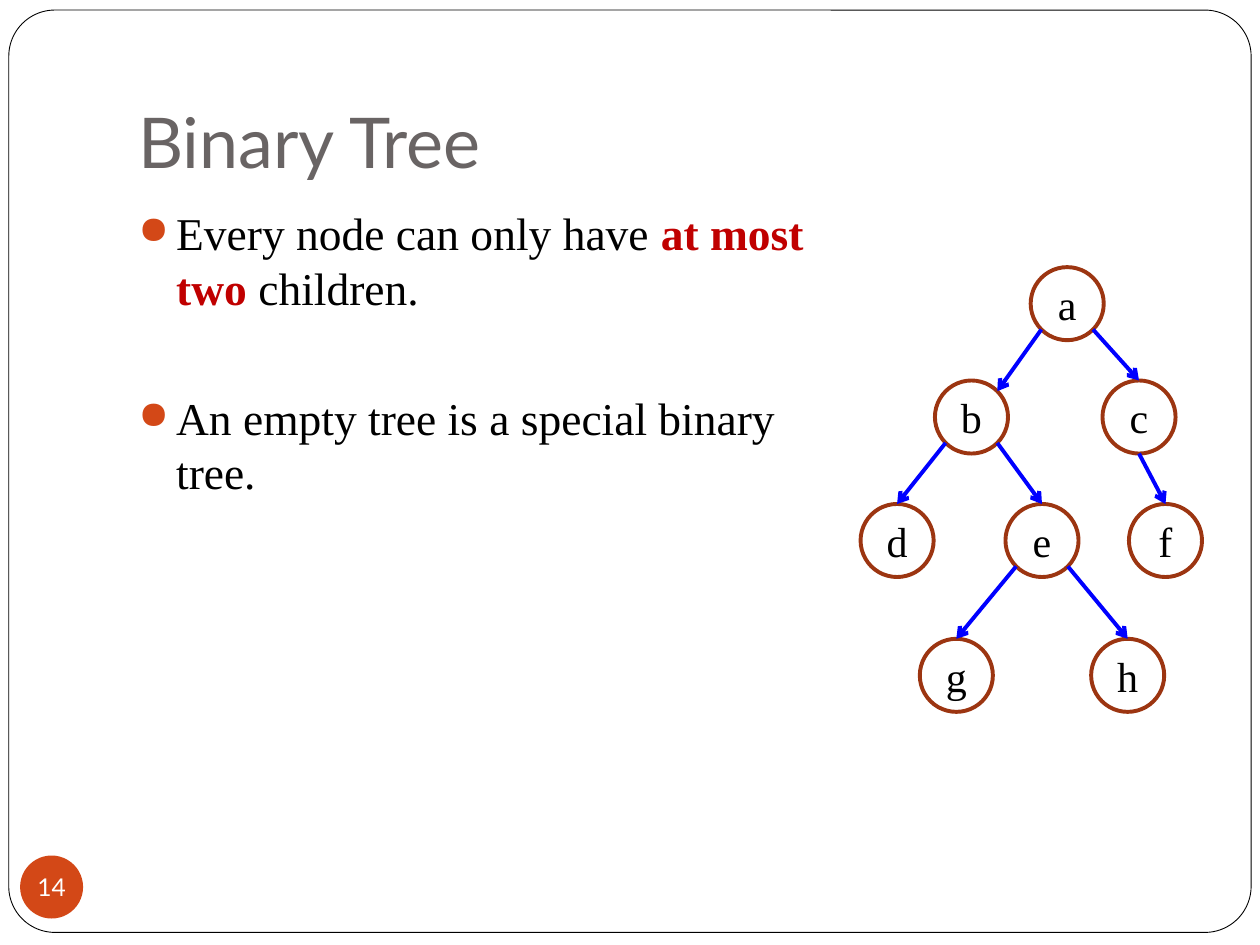
from math import sqrt
from lxml.etree import SubElement
from pptx import Presentation
from pptx.dml.color import RGBColor
from pptx.enum.shapes import MSO_CONNECTOR, MSO_SHAPE
from pptx.enum.text import MSO_ANCHOR, PP_ALIGN
from pptx.oxml.ns import qn
from pptx.util import Inches, Pt

THEME = {
    "head": ("Lato", 40, "696464"),
    "page": ("Lato", 14, "FFFFFF"),
    "body": ("Times New Roman", 26, "000000"),
    "key": ("Times New Roman", 26, "C00000"),
    "node": ("Times New Roman", 24, "000000"),
    "paper": "FFFFFF", "frame": "000000", "badge": "D34817",
    "ring": "9C3511", "edge": "0000FF",
}
TITLE = "Binary Tree"
PAGE = "14"
POINTS = [
    [("Every node can only have ", "body"), ("at most two ", "key"), ("children.", "body")],
    [("An empty tree is a special binary tree.", "body")],
]
SIZE = 0.58
ROWS = [2.12, 3.02, 4, 5.07]
NODES = {
    "a": (8.18, 0), "b": (7.42, 1), "c": (8.75, 1), "d": (6.83, 2),
    "e": (7.98, 2), "f": (8.96, 2), "g": (7.3, 3), "h": (8.66, 3),
}
DIAG = 1 / sqrt(2)
SITES = {"top": (0, -1), "right top": (DIAG, -DIAG), "low left": (-DIAG, DIAG),
         "low right": (DIAG, DIAG), "low": (0, 1)}
EDGES = [
    ("a", "low left", "b", "right top"), ("a", "low right", "c", "top"),
    ("b", "low left", "d", "top"), ("b", "low right", "e", "top"),
    ("c", "low", "f", "top"),
    ("e", "low left", "g", "top"), ("e", "low right", "h", "top"),
]


def color(name):
    return RGBColor.from_string(THEME[name])


def write(para, text, style):
    run = para.add_run()
    run.text = text
    font = run.font
    font.name, size, tone = THEME[style]
    font.size = Pt(size)
    font.color.rgb = RGBColor.from_string(tone)
    font.bold = style == "key"


def draw(slide, kind, area, fill=None, line=None, width=0):
    shape = slide.shapes.add_shape(kind, *map(Inches, area))
    shape.shadow.inherit = False
    if fill:
        shape.fill.solid()
        shape.fill.fore_color.rgb = color(fill)
    else:
        shape.fill.background()
    if line:
        shape.line.color.rgb = color(line)
        shape.line.width = Pt(width)
    else:
        shape.line.fill.background()
    return shape


def label(shape, text, style):
    frame = shape.text_frame
    frame.margin_left = frame.margin_right = frame.margin_top = frame.margin_bottom = 0
    frame.vertical_anchor = MSO_ANCHOR.MIDDLE
    frame.word_wrap = False
    para = frame.paragraphs[0]
    para.alignment = PP_ALIGN.CENTER
    write(para, text, style)


def textbox(slide, area):
    frame = slide.shapes.add_textbox(*map(Inches, area)).text_frame
    frame.word_wrap = True
    return frame


def bullet(para):
    props = para._p.get_or_add_pPr()
    props.set("marL", str(Inches(0.3)))
    props.set("indent", str(-Inches(0.3)))
    tint = SubElement(props, qn("a:buClr"))
    SubElement(tint, qn("a:srgbClr"), val=THEME["badge"])
    SubElement(props, qn("a:buSzPct"), val="85000")
    SubElement(props, qn("a:buChar"), char="●")


def site(name, side):
    left, row = NODES[name]
    half = SIZE / 2
    across, down = SITES[side]
    return Inches(left + half * (1 + across)), Inches(ROWS[row] + half * (1 + down))


def link(slide, rings, start, exit, end, entry):
    line = slide.shapes.add_connector(
        MSO_CONNECTOR.STRAIGHT, *site(start, exit), *site(end, entry))
    if entry == "top":
        line.end_connect(rings[end], 0)
    line.line.color.rgb = color("edge")
    line.line.width = Pt(2.25)
    SubElement(line.line._get_or_add_ln(), qn("a:tailEnd"), type="arrow")
    SubElement(line._element.spPr, qn("a:effectLst"))


def main():
    """Build the binary tree slide."""
    deck = Presentation()
    deck.slide_width, deck.slide_height = Inches(10), Inches(7.5)
    slide = deck.slides.add_slide(deck.slide_layouts[6])

    border = draw(slide, MSO_SHAPE.ROUNDED_RECTANGLE, (0.07, 0.08, 9.86, 7.32),
                  "paper", "frame", 0.5)
    border.adjustments[0] = 0.05

    head = textbox(slide, (1, 0.3, 8.5, 1.25))
    head.vertical_anchor = MSO_ANCHOR.BOTTOM
    head.margin_bottom = Inches(0.1)
    write(head.paragraphs[0], TITLE, "head")

    badge = draw(slide, MSO_SHAPE.OVAL, (0.16, 6.79, 0.5, 0.5), "badge")
    label(badge, PAGE, "page")

    body = textbox(slide, (1, 1.58, 5.67, 5))
    for spot, runs in enumerate(POINTS):
        para = body.add_paragraph() if spot else body.paragraphs[0]
        if spot:
            para.space_before = Pt(43)
        bullet(para)
        for text, style in runs:
            write(para, text, style)

    rings = {}
    for name, (left, row) in NODES.items():
        rings[name] = draw(slide, MSO_SHAPE.OVAL, (left, ROWS[row], SIZE, SIZE),
                           line="ring", width=2.25)
        label(rings[name], name, "node")
    for edge in EDGES:
        link(slide, rings, *edge)

    deck.save("out.pptx")


if __name__ == "__main__":
    main()
